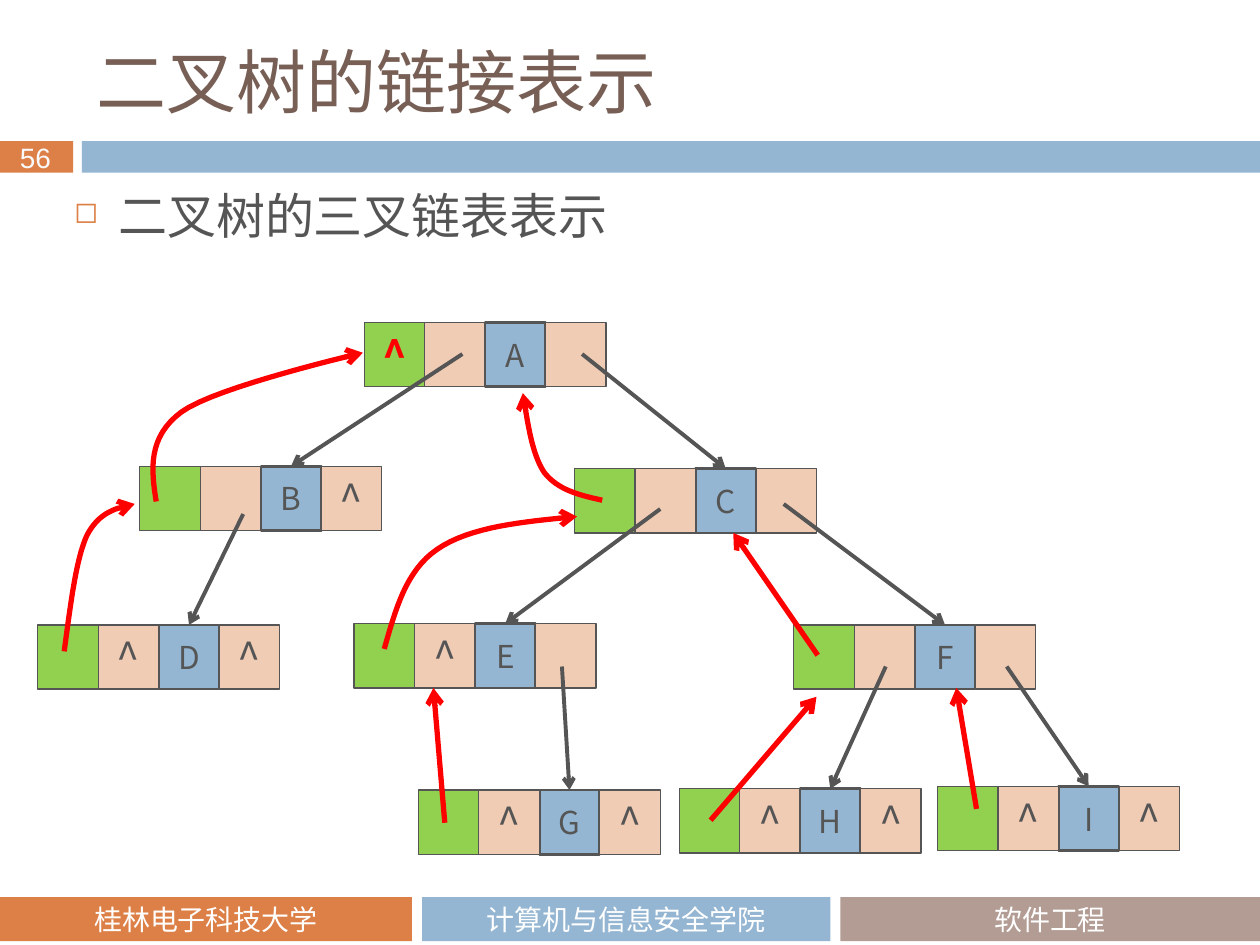
from dataclasses import dataclass

import pptx
import pptx.dml.color
import pptx.enum.shapes
import pptx.enum.text
import pptx.oxml
import pptx.oxml.ns
import pptx.util

Inches = pptx.util.Inches
Pt = pptx.util.Pt
Align = pptx.enum.text.PP_ALIGN
Anchor = pptx.enum.text.MSO_ANCHOR
RECT = pptx.enum.shapes.MSO_SHAPE.RECTANGLE
STRAIGHT = pptx.enum.shapes.MSO_CONNECTOR.STRAIGHT

SANS = "Noto Sans CJK SC"
GRAY, RED, WHITE = "555555", "FF0000", "FFFFFF"
ORANGE, BLUE, BROWN = "DD8047", "94B6D2", "B29C93"
GREEN, PEACH = "92D050", "F1CCB5"
WIDE, HIGH = 0.48, 0.51
Point = tuple[float, float]


@dataclass
class Node:
    name: str
    left: float
    top: float
    marks: tuple[str, str]


@dataclass
class Bar:
    left: float
    top: float
    width: float
    height: float
    fill: str
    text: str = ""


@dataclass
class Link:
    start: Point
    child: str


@dataclass
class Curve:
    start: Point
    bends: list[tuple[Point, Point, Point]]


NODES = [
    Node("A", 2.89, 2.56, ("", "")),
    Node("B", 1.11, 3.7, ("", "^")),
    Node("C", 4.56, 3.72, ("", "")),
    Node("D", 0.3, 4.96, ("^", "^")),
    Node("E", 2.81, 4.95, ("^", "")),
    Node("F", 6.3, 4.96, ("", "")),
    Node("G", 3.32, 6.27, ("^", "^")),
    Node("H", 5.39, 6.26, ("^", "^")),
    Node("I", 7.44, 6.24, ("^", "^")),
]
BARS = [
    Bar(0, 1.12, 0.58, 0.25, ORANGE),
    Bar(0.65, 1.12, 9.35, 0.25, BLUE),
    Bar(0, 7.12, 3.27, 0.35, ORANGE, "桂林电子科技大学"),
    Bar(3.35, 7.12, 3.24, 0.35, BLUE, "计算机与信息安全学院"),
    Bar(6.67, 7.12, 3.33, 0.35, BROWN, "软件工程"),
]
LINKS = [
    Link((3.67, 2.81), "B"), Link((4.62, 2.81), "C"),
    Link((1.93, 4.08), "D"), Link((5.24, 4.04), "E"),
    Link((6.22, 4), "F"), Link((4.46, 5.29), "G"),
    Link((7.03, 5.29), "H"), Link((7.99, 5.29), "I"),
]
CURVES = [
    Curve((1.24, 3.98), [((1.2, 3.73), (1.17, 3.47), (1.44, 3.27)),
                         ((1.71, 3.07), (2.88, 2.8), (2.88, 2.8))]),
    Curve((0.51, 5.17), [((0.56, 4.81), (0.6, 4.45), (0.69, 4.25)),
                         ((0.79, 4.06), (0.93, 4.03), (1.07, 4))]),
    Curve((4.78, 3.97), [((4.6, 3.93), (4.43, 3.89), (4.32, 3.75)),
                         ((4.22, 3.6), (4.19, 3.36), (4.15, 3.12))]),
    Curve((3.05, 5.15), [((3.14, 4.84), (3.22, 4.53), (3.47, 4.36)),
                         ((3.73, 4.18), (4.15, 4.14), (4.58, 4.1))]),
]
BACKS = [
    ((3.53, 6.53), (3.44, 5.46)), ((7.75, 6.42), (7.59, 5.46)),
    ((5.64, 6.51), (6.48, 5.53)), ((6.49, 5.2), (5.82, 4.23)),
]


def paint(target, color: str) -> None:
    if hasattr(target, "solid"):
        target.solid()
        target = target.fore_color
    target.rgb = pptx.dml.color.RGBColor.from_string(color)


def add_xml(parent, tag: str, **attrs: str):
    node = pptx.oxml.parse_xml(f'<a:{tag} {pptx.oxml.ns.nsdecls("a")}/>')
    for key, value in attrs.items():
        node.set(key, value)
    parent.append(node)
    return node


def write(shape, text: str, size: float, color: str, face: str = SANS, bold: bool = False,
          align=Align.LEFT, anchor=Anchor.MIDDLE, wrap: bool = True, inset: float | None = None,
          bullet: str = "", space: float | None = None) -> None:
    frame = shape.text_frame
    frame.word_wrap = wrap
    frame.vertical_anchor = anchor
    if inset is not None:
        frame.margin_left = frame.margin_right = Inches(inset)
        frame.margin_top = frame.margin_bottom = Inches(inset)
    para = frame.paragraphs[0]
    para.alignment = align
    if space:
        para.line_spacing = Pt(space)
    if bullet:
        props = para._p.get_or_add_pPr()
        props.set("marL", str(Inches(0.35)))
        props.set("indent", str(-Inches(0.35)))
        add_xml(add_xml(props, "buClr"), "srgbClr", val=ORANGE)
        add_xml(props, "buSzPct", val="60000")
        add_xml(props, "buChar", char=bullet)
    run = para.add_run()
    run.text = text
    font = run.font
    font.size, font.bold, font.name = Pt(size), bold, face
    paint(font.color, color)
    add_xml(run._r.get_or_add_rPr(), "ea", typeface=face)


def add_rect(slide, left: float, top: float, width: float, height: float,
             fill: str, line: float = 0):
    rect = slide.shapes.add_shape(RECT, Inches(left), Inches(top), Inches(width), Inches(height))
    rect.shadow.inherit = False
    paint(rect.fill, fill)
    if line:
        paint(rect.line.fill, GRAY)
        rect.line.width = Pt(line)
    else:
        rect.line.fill.background()
    return rect


def add_text(slide, left: float, top: float, width: float, height: float,
             text: str, size: float, color: str, **style) -> None:
    box = slide.shapes.add_textbox(Inches(left), Inches(top), Inches(width), Inches(height))
    write(box, text, size, color, **style)


def draw_node(slide, node: Node):
    left, right = node.marks
    root = "^" if node.name == "A" else ""
    cells = [(0, GREEN, root), (2, BLUE, node.name), (3, PEACH, right), (1, PEACH, left)]
    for place, fill, text in cells:
        data = place == 2
        cell = add_rect(slide, node.left + place * WIDE, node.top, WIDE, HIGH,
                        fill, 1.5 if data else 0.75)
        if text:
            write(cell, text, 18 if data else 24, GRAY if place else RED,
                  bold=place == 0, align=Align.CENTER, inset=0)
        if data:
            core = cell
    return core


def point(shape, color: str, width: float) -> None:
    paint(shape.line.fill, color)
    shape.line.width = Pt(width)
    add_xml(shape.element.spPr.get_or_add_ln(), "tailEnd", type="arrow")


def draw_line(slide, start: Point, end: Point, color: str, width: float):
    ends = [Inches(value) for value in (*start, *end)]
    line = slide.shapes.add_connector(STRAIGHT, *ends)
    point(line, color, width)
    add_xml(line.element.spPr, "effectLst")
    return line


def draw_curve(slide, curve: Curve, steps: int = 16) -> None:
    spots, start = [], curve.start
    for one, two, end in curve.bends:
        for step in range(1, steps + 1):
            t = step / steps
            u = 1 - t
            spots.append(tuple(
                Inches(u**3 * a + 3 * u * u * t * b + 3 * u * t * t * c + t**3 * d)
                for a, b, c, d in zip(start, one, two, end)))
        start = end
    x, y = curve.start
    pen = slide.shapes.build_freeform(Inches(x), Inches(y))
    pen.add_line_segments(spots, close=False)
    shape = pen.convert_to_shape()
    shape.shadow.inherit = False
    shape.fill.background()
    point(shape, RED, 3)


def main() -> None:
    deck = pptx.Presentation()
    deck.slide_width, deck.slide_height = Inches(10), Inches(7.5)
    slide = deck.slides.add_slide(deck.slide_layouts[6])
    for bar in BARS:
        rect = add_rect(slide, bar.left, bar.top, bar.width, bar.height, bar.fill)
        if bar.text:
            write(rect, bar.text, 16, WHITE, face="Calibri", align=Align.CENTER)
    add_text(slide, 0.06, 1.06, 0.48, 0.37, "56", 16, "F9F9F9", face="Arial", wrap=False)
    add_text(slide, 0.67, 0.25, 8.92, 0.78, "二叉树的链接表示", 40, "775F55",
             face="Noto Sans CJK JP")
    add_text(slide, 0.49, 1.47, 8.92, 0.54, "二叉树的三叉链表表示", 28, GRAY,
             anchor=Anchor.TOP, bullet="◻", space=30)
    cores = {node.name: draw_node(slide, node) for node in NODES}
    for link in LINKS:
        line = draw_line(slide, link.start, link.start, GRAY, 2.25)
        line.end_connect(cores[link.child], 0)
    for curve in CURVES:
        draw_curve(slide, curve)
    for start, end in BACKS:
        draw_line(slide, start, end, RED, 3)
    deck.save("out.pptx")


if __name__ == "__main__":
    main()
